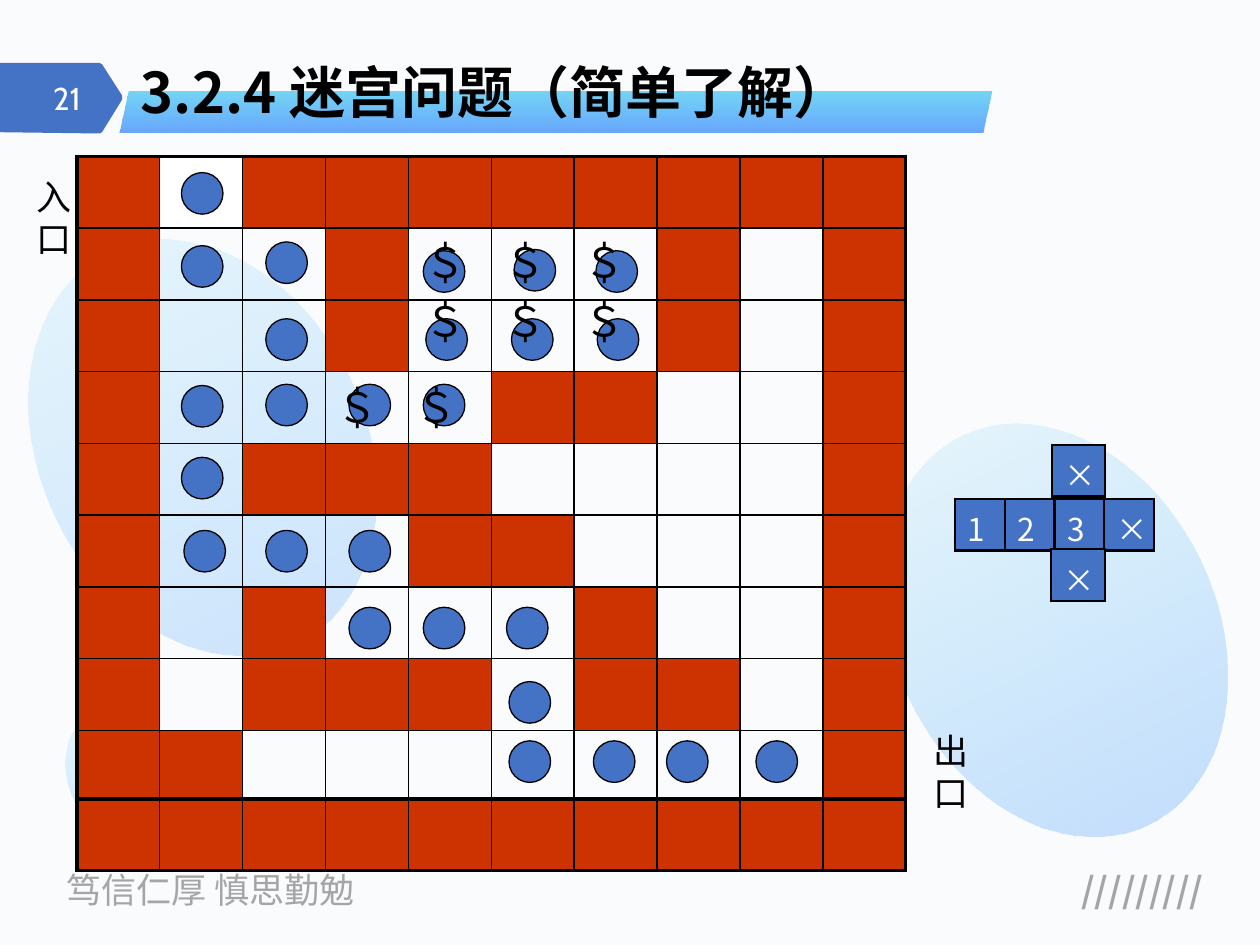
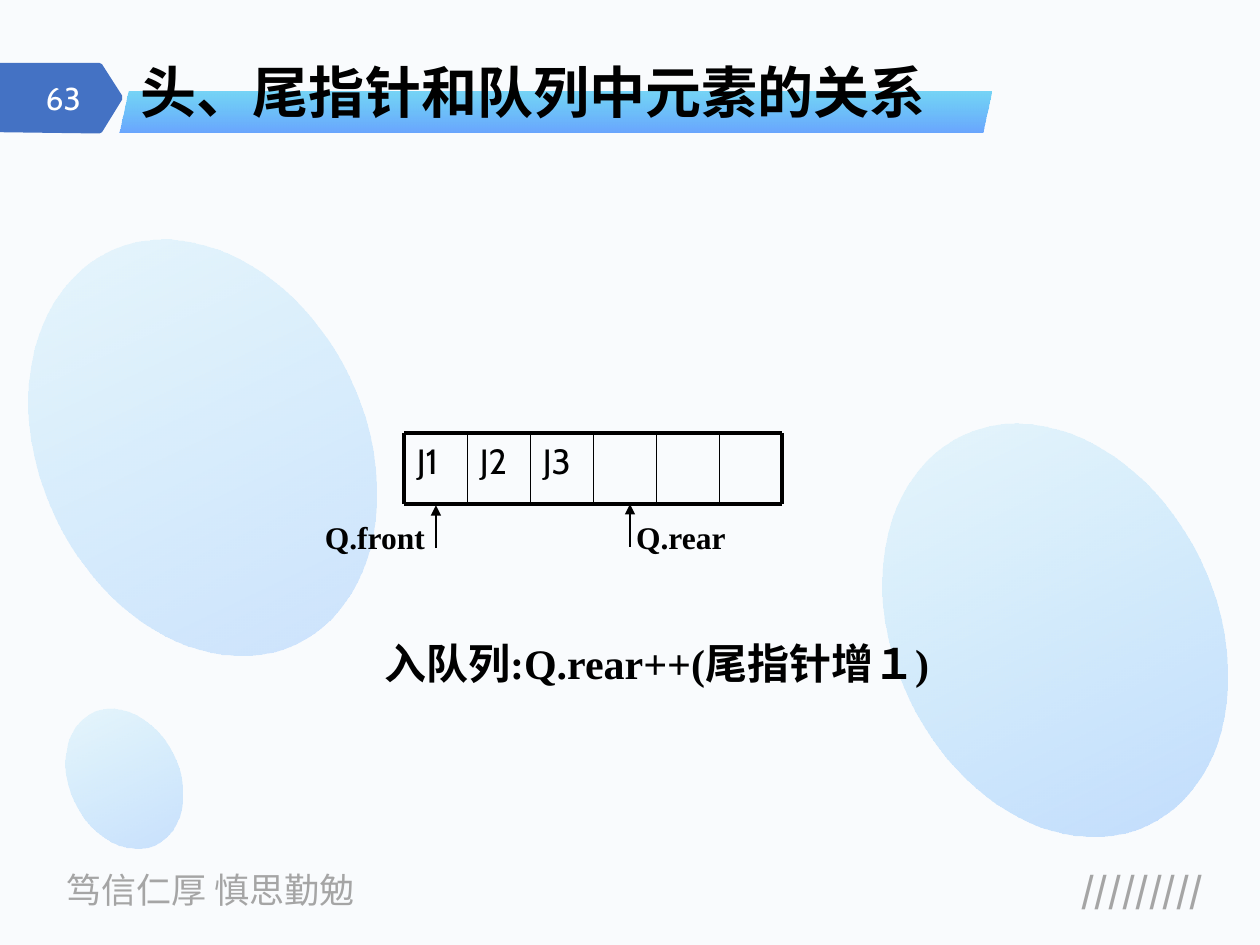
from dataclasses import dataclass
from itertools import product
from typing import Any, NamedTuple, Optional

from lxml.etree import SubElement
from pptx import Presentation
from pptx.dml.color import RGBColor
from pptx.enum.shapes import MSO_CONNECTOR, MSO_SHAPE
from pptx.enum.text import MSO_ANCHOR, PP_ALIGN
from pptx.oxml.ns import qn
from pptx.util import Emu, Inches, Pt

SLIDE_WIDTH, SLIDE_HEIGHT = Inches(10), Inches(7.5)
GRID_COLUMNS, GRID_ROWS = 100, 75


@dataclass(frozen=True)
class Theme:
    """Colours, fonts and type sizes used across the deck."""
    paper: str = "F9FBFD"
    ink: str = "000000"
    white: str = "FFFFFF"
    grey: str = "A5A5A5"
    blue: str = "4472C4"
    brick: str = "CC3300"
    sky: str = "00B0F0"
    azure: str = "3385FF"
    sans: str = "Noto Sans CJK SC"
    serif: str = "Times New Roman"
    number: str = "Cabin"
    title_size: int = 32
    large: int = 24
    medium: int = 20
    small: int = 18


THEME = Theme()


class Box(NamedTuple):
    """A rectangle in grid columns and rows."""
    left: float
    top: float
    width: float
    height: float


class Point(NamedTuple):
    """A place in grid columns and rows."""
    column: float
    row: float


class Style(NamedTuple):
    """The look of one piece of text."""
    font: str
    size: int
    color: str = THEME.ink
    bold: bool = False


class Label(NamedTuple):
    """Text, one entry a paragraph, with its place and layout."""
    lines: tuple[str, ...]
    box: Box
    style: Style
    frame_format: dict[str, Any] = {}
    para_format: dict[str, Any] = {}
    tabs: tuple[float, ...] = ()


class Gradient(NamedTuple):
    """Two colours with opacities in percent, from top to bottom."""
    start: str
    start_opacity: int
    end: str
    end_opacity: int


class Bubble(NamedTuple):
    """A tilted background ellipse."""
    box: Box
    opacity: int


class Panel(NamedTuple):
    """A bordered table with one character a cell."""
    box: Box
    rows: tuple[str, ...]
    outer: float
    inner: float


TITLE = Style(THEME.sans, THEME.title_size, bold=True)
PAGE_NUMBER = Style(THEME.number, THEME.small, THEME.white)
MOTTO = Style(THEME.sans, THEME.medium, THEME.grey)
SLASHES = MOTTO._replace(bold=True)
DIRECTION = Style(THEME.sans, THEME.small, THEME.white)
GATE = Style(THEME.serif, THEME.medium)
DOLLAR = Style(THEME.serif, THEME.large)
ELEMENT = Style(THEME.number, THEME.medium)
POINTER = Style(THEME.serif, THEME.small, bold=True)
FORMULA = Style(THEME.serif, THEME.large, bold=True)

BUBBLES = (Bubble(Box(5.5, 56, 8.7, 11.6), 24), Bubble(Box(70.9, 32.9, 25.6, 34.2), 27),
           Bubble(Box(3.2, 18.3, 25.8, 34.4), 22))
NUMBER_FLAG = (Point(0, 5), Point(7.9, 5), Point(8.1, 5.1), Point(9.7, 7.6),
               Point(9.7, 7.9), Point(8.1, 10.5), Point(7.9, 10.6), Point(0, 10.5))

MAZE_LEFT, MAZE_WIDTH, MAZE_ROW = 6.1, 65.8, 5.7
MAZE = ("#o########", "#  #   # #", "#  #   # #", "#    ##  #", "# ###    #",
        "#   ##   #", "# #   #  #", "# ### ## #", "##       #")
MAZE_PANEL = Panel(Box(MAZE_LEFT, 12.4, MAZE_WIDTH, MAZE_ROW * len(MAZE)), MAZE, 2.25, 1)
FLOOR_PANEL = Panel(Box(MAZE_LEFT, 63.4, MAZE_WIDTH, MAZE_ROW), ("#" * 10,), 2.25, 1)
DIRECTION_PANELS = (Panel(Box(75.8, 39.6, 15.8, 4.1), ("123×",), 1.5, 1.5),
                    Panel(Box(83.5, 35.3, 4.2, 4.1), ("×",), 1.5, 1.5),
                    Panel(Box(83.4, 43.6, 4.3, 4.1), ("×",), 1.5, 1.5))
CELL_FILLS = {"#": THEME.brick, "o": THEME.white, " ": None}
DOT_SIZE = 3.3
DOTS = {13.7: (14.4,), 19.5: (14.4,), 19.2: (21.1,), 19.9: (33.6, 47.3), 19.8: (40.8,),
        25.3: (21.1, 33.8, 40.6, 47.4), 30.6: (14.4,), 30.5: (21.1, 27.7, 33.6),
        36.3: (14.4,), 42.1: (14.6, 21.1, 27.7), 48.2: (27.7, 33.6, 40.2),
        54.1: (40.4,), 58.8: (40.4, 47.1, 52.9, 60)}
DOLLAR_STEP = 6.32

QUEUE = Box(32.1, 34.4, 30, 5.6)
QUEUE_CELLS = 6
CELL_WIDTH = QUEUE.width / QUEUE_CELLS


def across(columns: float) -> Emu:
    """Turn grid columns into a length."""
    return Emu(round(SLIDE_WIDTH * columns / GRID_COLUMNS))


def down(rows: float) -> Emu:
    """Turn grid rows into a length."""
    return Emu(round(SLIDE_HEIGHT * rows / GRID_ROWS))


def place(box: Box) -> tuple[Emu, Emu, Emu, Emu]:
    """Turn a grid box into left, top, width and height."""
    return across(box.left), down(box.top), across(box.width), down(box.height)


def assign(target: Any, values: dict[str, Any]) -> None:
    """Set each named attribute of the target."""
    for name, value in values.items():
        setattr(target, name, value)


def paint(fill: Any, color: Optional[str]) -> None:
    """Fill with a colour, or with nothing."""
    if color is None:
        fill.background()
    else:
        fill.solid()
        fill.fore_color.rgb = RGBColor.from_string(color)


def add_span(para: Any, text: str, style: Style) -> None:
    """Add a styled run that covers Latin and East Asian letters."""
    span = para.add_run()
    span.text = text
    assign(span.font, {"name": style.font, "size": Pt(style.size), "bold": style.bold})
    span.font.color.rgb = RGBColor.from_string(style.color)
    SubElement(span.font._element, qn("a:ea"), typeface=THEME.sans)


def draw_label(page: Any, label: Label) -> Any:
    """Draw a wrapping text box."""
    box = page.shapes.add_textbox(*place(label.box))
    frame = box.text_frame
    assign(frame, {"word_wrap": True, **label.frame_format})
    for index, line in enumerate(label.lines):
        para = frame.add_paragraph() if index else frame.paragraphs[0]
        assign(para, label.para_format)
        if index:
            para.space_before = Pt(5)
        if label.tabs:
            stops = SubElement(para._p.get_or_add_pPr(), qn("a:tabLst"))
            for stop in label.tabs:
                SubElement(stops, qn("a:tab"), pos=str(across(stop)), algn="l")
        add_span(para, line, label.style)
    return box


def draw_shape(page: Any, kind: MSO_SHAPE, box: Box) -> Any:
    """Draw a preset shape with no shadow and no outline."""
    shape = page.shapes.add_shape(kind, *place(box))
    shape.shadow.inherit = False
    shape.line.fill.background()
    return shape


def paint_gradient(shape: Any, gradient: Gradient) -> None:
    """Fill a shape with a translucent vertical gradient."""
    shape.fill.gradient()
    shape.fill.gradient_angle = 270
    for stop, color in zip(shape.fill.gradient_stops, (gradient.start, gradient.end)):
        stop.color.rgb = RGBColor.from_string(color)
    opacities = (gradient.start_opacity, gradient.end_opacity)
    for color, opacity in zip(shape._element.spPr.iter(qn("a:srgbClr")), opacities):
        SubElement(color, qn("a:alpha"), val=str(opacity * 1000))


def draw_line(page: Any, start: Point, end: Point, weight: float, arrow: bool = False) -> Any:
    """Draw a straight line, with an arrowhead at its end on request."""
    line = page.shapes.add_connector(MSO_CONNECTOR.STRAIGHT, across(start.column),
                                     down(start.row), across(end.column), down(end.row))
    line.line.width = Pt(weight)
    paint(line.line.fill, THEME.ink)
    if arrow:
        SubElement(line.line._get_or_add_ln(), qn("a:tailEnd"), type="triangle")
    SubElement(line._element.spPr, qn("a:effectLst"))
    return line


def add_borders(cell: Any, weights: dict[str, float]) -> None:
    """Give each side of a cell a black border."""
    properties = cell._tc.get_or_add_tcPr()
    for index, (side, weight) in enumerate(weights.items()):
        border = SubElement(properties, qn(f"a:ln{side}"), w=str(Pt(weight)))
        SubElement(SubElement(border, qn("a:solidFill")), qn("a:srgbClr"), val=THEME.ink)
        properties.insert(index, border)


def draw_panel(page: Any, panel: Panel) -> None:
    """Draw a table whose characters choose fill or text."""
    row_count, column_count = len(panel.rows), len(panel.rows[0])
    table = page.shapes.add_table(row_count, column_count, *place(panel.box)).table
    assign(table, {"first_row": False, "horz_banding": False})
    for row, column in product(range(row_count), range(column_count)):
        cell, mark = table.cell(row, column), panel.rows[row][column]
        paint(cell.fill, CELL_FILLS.get(mark, THEME.blue))
        if mark not in CELL_FILLS:
            add_span(cell.text_frame.paragraphs[0], mark, DIRECTION)
        edges = {"L": column == 0, "R": column == column_count - 1,
                 "T": row == 0, "B": row == row_count - 1}
        add_borders(cell, {side: panel.outer if edge else panel.inner
                           for side, edge in edges.items()})


def add_page(deck: Any, title: str, number: int) -> Any:
    """Add a slide with the shared background, band, title and footer."""
    page = deck.slides.add_slide(deck.slide_layouts[6])
    paint(page.background.fill, THEME.paper)
    draw_label(page, Label(("笃信仁厚 慎思勤勉",), Box(4.3, 68.4, 27, 4.4), MOTTO))
    draw_label(page, Label(("/////////",), Box(76.7, 68.4, 19.8, 4.4), SLASHES,
                           para_format={"alignment": PP_ALIGN.RIGHT}))
    for bubble in BUBBLES:
        ellipse = draw_shape(page, MSO_SHAPE.OVAL, bubble.box)
        ellipse.rotation = 154.4
        paint_gradient(ellipse, Gradient(THEME.azure, bubble.opacity, THEME.sky, 8))
    corners = [(across(point.column), down(point.row)) for point in NUMBER_FLAG]
    builder = page.shapes.build_freeform(*corners[0])
    builder.add_line_segments(corners[1:], close=True)
    flag = builder.convert_to_shape()
    flag.shadow.inherit = False
    flag.line.fill.background()
    paint(flag.fill, THEME.blue)
    draw_label(page, Label((str(number),), Box(1, 5.8, 6.4, 4), PAGE_NUMBER,
                           {"vertical_anchor": MSO_ANCHOR.MIDDLE},
                           {"alignment": PP_ALIGN.RIGHT}))
    band = draw_shape(page, MSO_SHAPE.PARALLELOGRAM, Box(9.5, 7.3, 69.2, 3.2))
    band.adjustments[0] = 0.23
    paint_gradient(band, Gradient(THEME.sky, 52, THEME.azure, 73))
    draw_label(page, Label((title,), Box(10.2, 4, 68.5, 6.5), TITLE,
                           {"vertical_anchor": MSO_ANCHOR.BOTTOM}, {"line_spacing": 0.9}))
    return page


def build_maze(deck: Any) -> None:
    """Build the maze slide."""
    page = add_page(deck, "3.2.4 迷宫问题（简单了解）", 21)
    for panel in (*DIRECTION_PANELS, MAZE_PANEL):
        draw_panel(page, panel)
    for top, lefts in DOTS.items():
        for left in lefts:
            dot = draw_shape(page, MSO_SHAPE.FLOWCHART_CONNECTOR,
                             Box(left, top, DOT_SIZE, DOT_SIZE))
            paint(dot.fill, THEME.blue)
            paint(dot.line.fill, THEME.ink)
            dot.line.width = Pt(0.75)
    draw_label(page, Label(("出口",), Box(73.1, 57.4, 5, 7.7), GATE))
    draw_label(page, Label(("入口",), Box(1.9, 13.4, 5, 7.7), GATE))
    stops = (DOLLAR_STEP, 2 * DOLLAR_STEP)
    draw_label(page, Label(("＄\t＄\t＄",) * 2, Box(32.7, 18.3, 19.2, 11.1), DOLLAR, tabs=stops))
    draw_label(page, Label(("＄\t＄",), Box(25.7, 29.8, 12.5, 5), DOLLAR, tabs=stops[:1]))
    draw_panel(page, FLOOR_PANEL)


def build_queue(deck: Any) -> None:
    """Build the queue pointer slide."""
    page = add_page(deck, "头、尾指针和队列中元素的关系", 63)
    right, bottom = QUEUE.left + QUEUE.width, QUEUE.top + QUEUE.height
    elements = [draw_label(page, Label((name,), Box(QUEUE.left + index * CELL_WIDTH, QUEUE.top,
                                                    CELL_WIDTH, 5.7), ELEMENT))
                for index, name in enumerate(("J1", "J2", "J3"))]
    for row in (QUEUE.top, bottom):
        draw_line(page, Point(QUEUE.left, row), Point(right, row), 2.25)
    for index in range(QUEUE_CELLS + 1):
        column = QUEUE.left + index * CELL_WIDTH
        weight = 2.25 if index in (0, QUEUE_CELLS) else 1
        draw_line(page, Point(column, QUEUE.top), Point(column, bottom), weight)
    draw_label(page, Label(("Q.front",), Box(24.8, 40.6, 11, 4), POINTER))
    front = draw_line(page, Point(34.6, 43.5), Point(34.6, 40.1), 0.75, arrow=True)
    front.end_connect(elements[0], 2)
    draw_label(page, Label(("Q.rear",), Box(49.5, 40.6, 9.5, 4), POINTER))
    draw_line(page, Point(50, 43.4), Point(50, bottom), 0.75, arrow=True)
    draw_label(page, Label(("入队列:Q.rear++(尾指针增１)",), Box(29.5, 50.1, 45.5, 5), FORMULA))


def main() -> None:
    """Build and save the deck."""
    deck = Presentation()
    assign(deck, {"slide_width": SLIDE_WIDTH, "slide_height": SLIDE_HEIGHT})
    build_maze(deck)
    build_queue(deck)
    deck.save("out.pptx")


if __name__ == "__main__":
    main()
